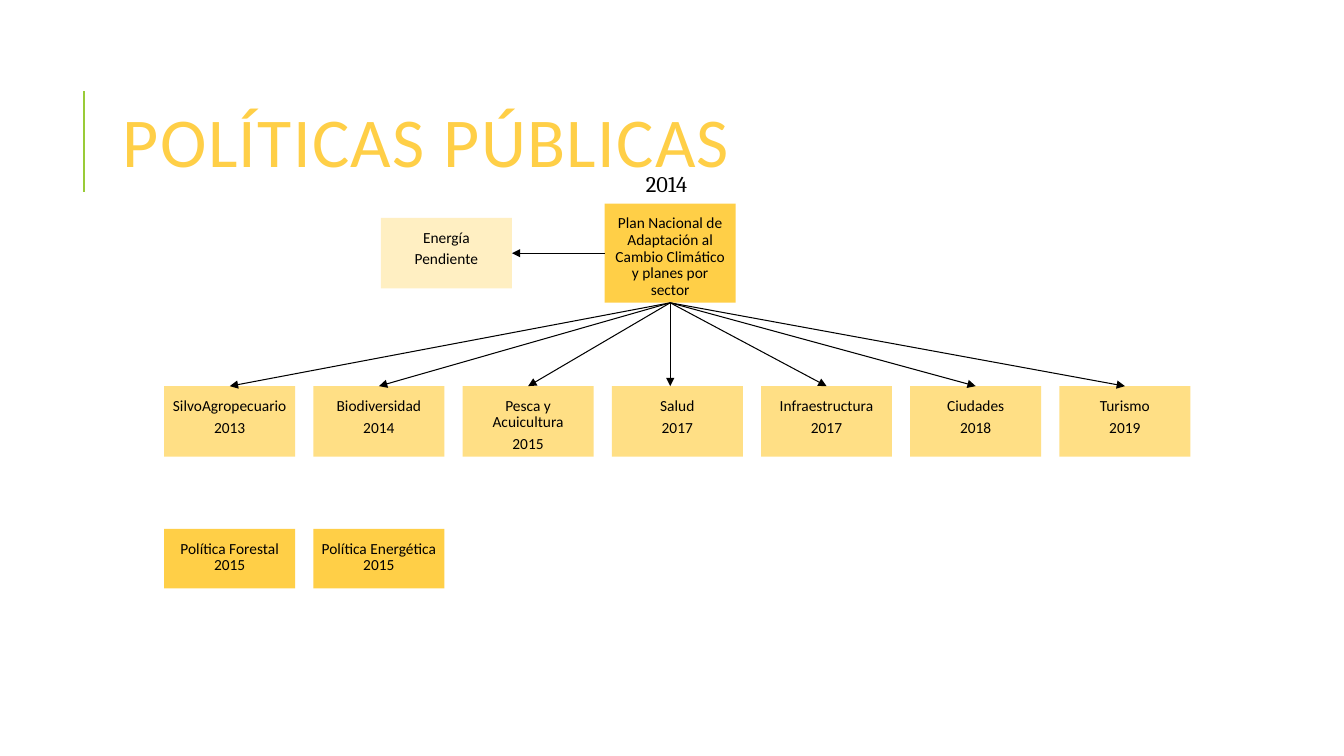
"""Build the slide on public policies with its tree of sector adaptation plans."""
from lxml.etree import SubElement
from pptx import Presentation
from pptx.dml.color import RGBColor
from pptx.enum.shapes import MSO_CONNECTOR, MSO_SHAPE
from pptx.enum.text import MSO_ANCHOR, PP_ALIGN
from pptx.oxml.ns import qn
from pptx.util import Cm, Pt

TITLE = "POLÍTICAS PÚBLICAS"
PLAN_YEAR = "2014"
PLAN = ["Plan Nacional de Adaptación al Cambio Climático y planes por sector"]
PENDING = ["Energía", "Pendiente"]
SECTORS = [
    ("SilvoAgropecuario", "2013"),
    ("Biodiversidad", "2014"),
    ("Pesca y Acuicultura", "2015"),
    ("Salud", "2017"),
    ("Infraestructura", "2017"),
    ("Ciudades", "2018"),
    ("Turismo", "2019"),
]
STRAIGHT_DOWN = "Salud"
POLICIES = [["Política Forestal 2015"], ["Política Energética 2015"]]

THEME = {
    "gold": "FFCF47", "sector": "FFDF85", "pending": "FFEFC2",
    "accent": "99CB38", "ink": "000000",
    "body": "Calibri", "serif": "Cambria",
    "title_size": 50, "year_size": 16, "box_size": 11,
}

BOX_W, BOX_H = 3.3, 1.78
ROW_X, ROW_Y, PITCH = 4.14, 9.73, 3.76
PLAN_X, PLAN_Y, PLAN_H = 15.24, 5.13, 2.5
PENDING_X = 9.6
POLICY_Y, POLICY_H = 13.33, 1.5


def rgb(name):
    """Return a theme colour."""
    return RGBColor.from_string(THEME[name])


def write(tf, lines, size, color="ink", font="body", align=PP_ALIGN.LEFT,
          leading=None, after=0, tracking=0):
    """Write one paragraph per line in a single format."""
    tf.word_wrap = True
    for i, line in enumerate(lines):
        p = tf.paragraphs[0] if i == 0 else tf.add_paragraph()
        p.alignment = align
        p.space_after = Pt(after)
        if leading:
            p.line_spacing = leading
        r = p.add_run()
        r.text = line
        r.font.size = Pt(THEME[size])
        r.font.name = THEME[font]
        r.font.color.rgb = rgb(color)
        if tracking:
            r.font._element.set("spc", str(tracking))


def add_label(s, x, y, w, h, text, anchor=MSO_ANCHOR.TOP, **fmt):
    """Add a free text box."""
    tf = s.shapes.add_textbox(Cm(x), Cm(y), Cm(w), Cm(h)).text_frame
    tf.vertical_anchor = anchor
    write(tf, [text], **fmt)


def add_box(s, x, y, h, lines, fill):
    """Add a filled rectangle with centred lines."""
    sp = s.shapes.add_shape(MSO_SHAPE.RECTANGLE, Cm(x), Cm(y), Cm(BOX_W), Cm(h))
    sp.shadow.inherit = False
    sp.fill.solid()
    sp.fill.fore_color.rgb = rgb(fill)
    sp.line.fill.background()
    tf = sp.text_frame
    tf.margin_left = tf.margin_right = Cm(0.2)
    tf.margin_top, tf.margin_bottom = Cm(0.3), Cm(0)
    tf.vertical_anchor = MSO_ANCHOR.TOP
    write(tf, lines, "box_size", align=PP_ALIGN.CENTER, leading=0.9, after=3.6)
    return sp


def add_line(s, x1, y1, x2, y2, color="ink", width=0.75, arrow=True):
    """Add a straight line, with an arrowhead at its end if asked."""
    c = s.shapes.add_connector(MSO_CONNECTOR.STRAIGHT, Cm(x1), Cm(y1), Cm(x2), Cm(y2))
    c.line.color.rgb = rgb(color)
    c.line.width = Pt(width)
    if arrow:
        SubElement(c.line._get_or_add_ln(), qn("a:tailEnd"), type="triangle")
    SubElement(c._element.spPr, qn("a:effectLst"))
    return c


def main():
    """Draw the slide and save it."""
    prs = Presentation()
    prs.slide_width, prs.slide_height = Cm(33.87), Cm(19.05)
    s = prs.slides.add_slide(prs.slide_layouts[6])

    add_line(s, 2.12, 4.83, 2.12, 2.29, color="accent", width=1.5, arrow=False)
    add_label(s, 2.85, 1.63, 27, 4.17, TITLE, anchor=MSO_ANCHOR.MIDDLE,
              size="title_size", color="gold", leading=0.8, tracking=100)
    add_label(s, 16.03, 4.17, 3.28, 0.94, PLAN_YEAR, size="year_size", font="serif")

    plan = add_box(s, PLAN_X, PLAN_Y, PLAN_H, PLAN, "gold")
    plan_mid_x, plan_mid_y = PLAN_X + BOX_W / 2, PLAN_Y + PLAN_H / 2
    plan_bottom = PLAN_Y + PLAN_H

    pending = add_box(s, PENDING_X, plan_mid_y - BOX_H / 2, BOX_H, PENDING, "pending")
    c = add_line(s, PLAN_X, plan_mid_y, PENDING_X + BOX_W, plan_mid_y)
    c.begin_connect(plan, 1)
    c.end_connect(pending, 3)

    for i, sector in enumerate(SECTORS):
        x = ROW_X + i * PITCH
        box = add_box(s, x, ROW_Y, BOX_H, sector, "sector")
        vertical = sector[0] == STRAIGHT_DOWN
        end_x = plan_mid_x if vertical else x + BOX_W / 2
        c = add_line(s, plan_mid_x, plan_bottom, end_x, ROW_Y)
        c.begin_connect(plan, 2)
        if not vertical:
            c.end_connect(box, 0)

    for i, policy in enumerate(POLICIES):
        add_box(s, ROW_X + i * PITCH, POLICY_Y, POLICY_H, policy, "gold")

    prs.save("out.pptx")


if __name__ == "__main__":
    main()
